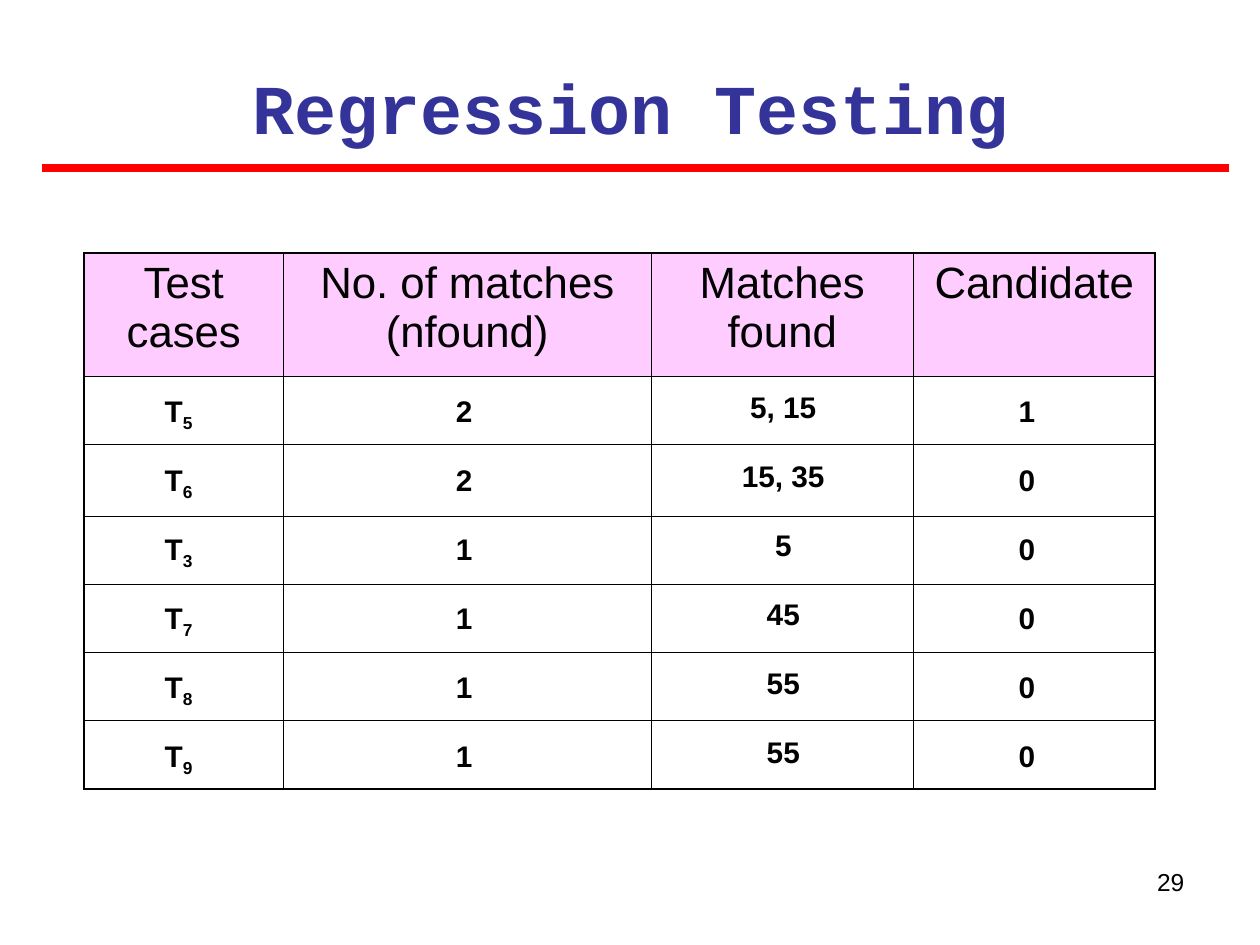
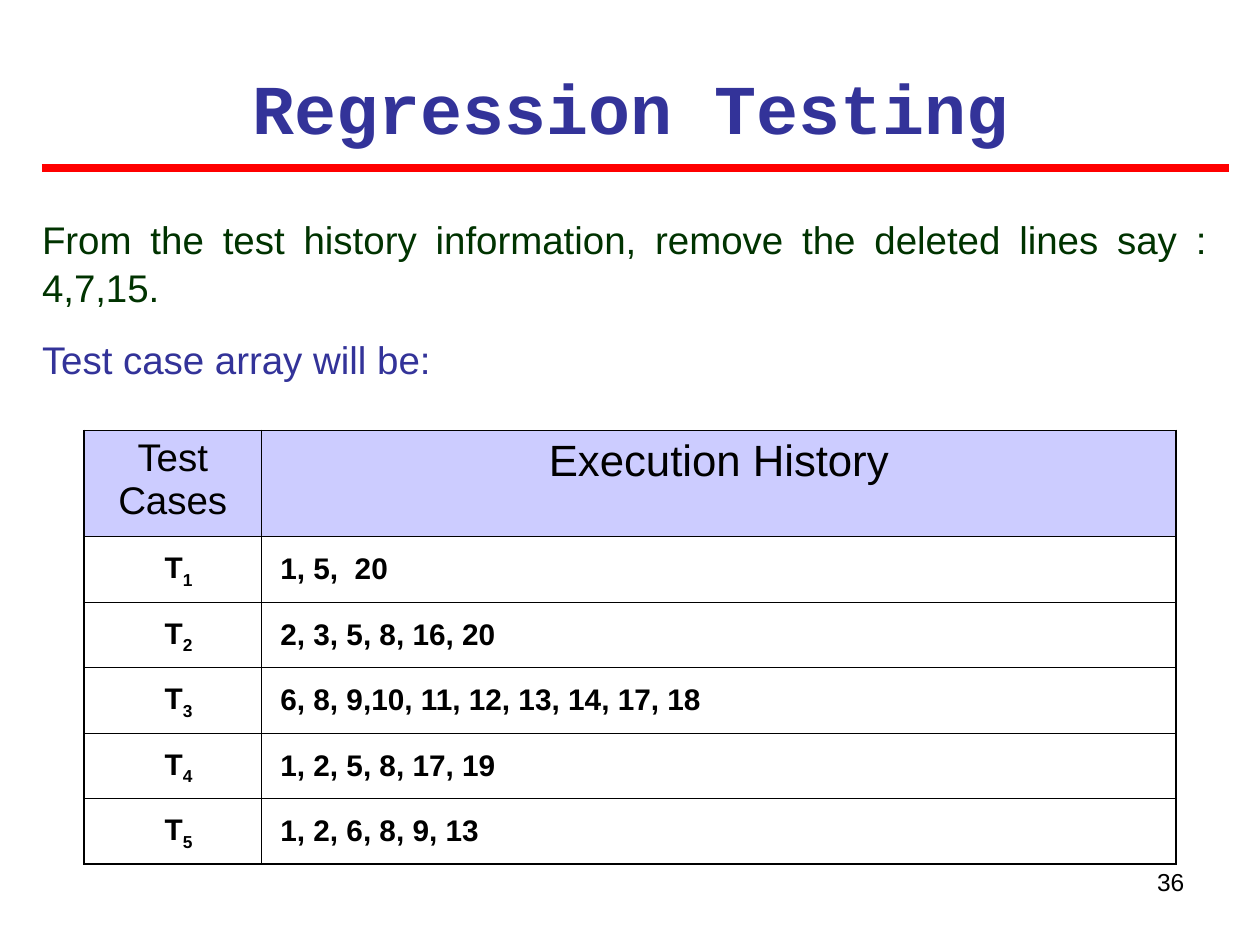
from dataclasses import dataclass

from lxml.etree import SubElement
from pptx import Presentation
from pptx.dml.color import RGBColor
from pptx.enum.shapes import MSO_CONNECTOR
from pptx.enum.text import MSO_ANCHOR, MSO_AUTO_SIZE, PP_ALIGN
from pptx.oxml import parse_xml
from pptx.oxml.ns import nsdecls, qn
from pptx.util import Inches, Pt


@dataclass(frozen=True)
class Theme:
    sans: str = "Arial"
    mono: str = "Courier New"
    black: str = "000000"
    blue: str = "333399"
    green: str = "003300"
    red: str = "FF0000"
    pink: str = "FFCCFF"
    lilac: str = "CCCCFF"
    title: int = 40
    head: int = 25
    body: int = 22
    value: int = 17
    page: int = 14
    rule: float = 4.5
    thick: float = 1.08
    thin: float = 0.45


theme = Theme()
LEFT, CENTER, RIGHT, FULL = (
    PP_ALIGN.LEFT, PP_ALIGN.CENTER, PP_ALIGN.RIGHT, PP_ALIGN.JUSTIFY)


def grid(*cells):
    """Turn units of a 120 by 90 slide grid into lengths."""
    return [Inches(cell / 12) for cell in cells]


def write(frame, text, size, font=theme.sans, color=theme.black, bold=False,
          align=CENTER, inset=None, spacing=None):
    """Fill a frame; what follows an underscore is set as a subscript."""
    frame.word_wrap = True
    frame.vertical_anchor = MSO_ANCHOR.TOP
    if inset is not None:
        side, top = grid(*inset)
        frame.margin_left = frame.margin_right = side
        frame.margin_top, frame.margin_bottom = top, 0
    para = frame.paragraphs[0]
    para.alignment = align
    para.line_spacing = spacing
    for level, part in enumerate(text.split("_")):
        run = para.add_run()
        run.text = part
        run.font.name, run.font.size, run.font.bold = font, Pt(size), bold
        run.font.color.rgb = RGBColor.from_string(color)
        if level:
            run.font._element.set("baseline", "-25000")


# Each block of values: left, top, width, alignment, texts
pages = [
    dict(
        number="29",
        notes=[],
        top=24.1, cols=[19, 35, 25, 23],
        rows=[11.7, 6.5, 6.85, 6.5, 6.5, 6.5, 6.5],
        fill=theme.pink,
        heads=[("Test cases", theme.head),
               ("No. of matches (nfound)", theme.head),
               ("Matches found", theme.head),
               ("Candidate", theme.head)],
        step=6.57,
        blocks=[
            (13, 37.3, 8, CENTER, ["T_5", "T_6", "T_3", "T_7", "T_8", "T_9"]),
            (40.2, 37.3, 8, CENTER, ["2", "2", "1", "1", "1", "1"]),
            (68.2, 36.9, 12.8, CENTER,
             ["5, 15", "15, 35", "5", "45", "55", "55"]),
            (93.8, 37.3, 8, CENTER, ["1", "0", "0", "0", "0", "0"]),
        ],
    ),
    dict(
        number="36",
        notes=[
            (20.2, 8.8, theme.green, "From the test history information, "
             "remove the deleted lines say : 4,7,15."),
            (31.6, 4.4, theme.blue, "Test case array will be:"),
        ],
        top=41, cols=[16.9, 87.1], rows=[10.1] + [6.24] * 5,
        fill=theme.lilac,
        heads=[("Test Cases", theme.body), ("Execution History", theme.head)],
        step=6.24,
        blocks=[
            (13, 52.2, 8, CENTER, ["T_1", "T_2", "T_3", "T_4", "T_5"]),
            (26.7, 52.3, 81.4, LEFT, [
                "1, 5,  20",
                "2, 3, 5, 8, 16, 20",
                "6, 8, 9,10, 11, 12, 13, 14, 17, 18",
                "1, 2, 5, 8, 17, 19",
                "1, 2, 6, 8, 9, 13",
            ]),
        ],
    ),
]

deck = Presentation()
deck.slide_width, deck.slide_height = grid(120, 90)

for page in pages:
    slide = deck.slides.add_slide(deck.slide_layouts[5])
    shapes = slide.shapes

    title = shapes.title
    title.left, title.top, title.width, title.height = grid(4, 4.2, 112, 9.2)
    title.text_frame.auto_size = MSO_AUTO_SIZE.NONE
    write(title.text_frame, "Regression Testing", theme.title,
          font=theme.mono, color=theme.blue, bold=True, inset=(1.2, 1.9))

    rule = shapes.add_connector(MSO_CONNECTOR.STRAIGHT, *grid(4, 16, 117, 16))
    rule.line.color.rgb = RGBColor.from_string(theme.red)
    rule.line.width = Pt(theme.rule)
    SubElement(rule._element.spPr, qn("a:effectLst"))

    for top, height, color, text in page["notes"]:
        box = shapes.add_textbox(*grid(4, top, 111, height))
        write(box.text_frame, text, theme.body, color=color, align=FULL,
              inset=(0, 0.2), spacing=1.04)

    cols, rows = page["cols"], page["rows"]
    table = shapes.add_table(
        len(rows), len(cols),
        *grid(8, page["top"], sum(cols), sum(rows))).table
    for col, width in zip(table.columns, grid(*cols)):
        col.width = width
    for row, height in zip(table.rows, grid(*rows)):
        row.height = height
    for r in range(len(rows)):
        for c in range(len(cols)):
            cell = table.cell(r, c)
            if r == 0:
                cell.fill.solid()
                cell.fill.fore_color.rgb = RGBColor.from_string(page["fill"])
                text, size = page["heads"][c]
                write(cell.text_frame, text, size)
            else:
                cell.fill.background()
            outer = dict(L=c == 0, R=c == len(cols) - 1,
                         T=r == 0, B=r == len(rows) - 1)
            for spot, (side, edge) in enumerate(outer.items()):
                width = Pt(theme.thick if edge else theme.thin)
                cell._tc.get_or_add_tcPr().insert(spot, parse_xml(
                    f'<a:ln{side} {nsdecls("a")} w="{width}"><a:solidFill>'
                    f'<a:srgbClr val="{theme.black}"/></a:solidFill>'
                    f'</a:ln{side}>'))

    for left, top, width, align, texts in page["blocks"]:
        for index, text in enumerate(texts):
            box = shapes.add_textbox(
                *grid(left, top + index * page["step"], width, 3.4))
            write(box.text_frame, text, theme.value, bold=True, align=align,
                  inset=(0, 0.1))

    foot = shapes.add_textbox(*grid(86, 82, 28, 6.2))
    write(foot.text_frame, page["number"], theme.page, align=RIGHT,
          inset=(1.2, 0.6))

deck.save("out.pptx")
